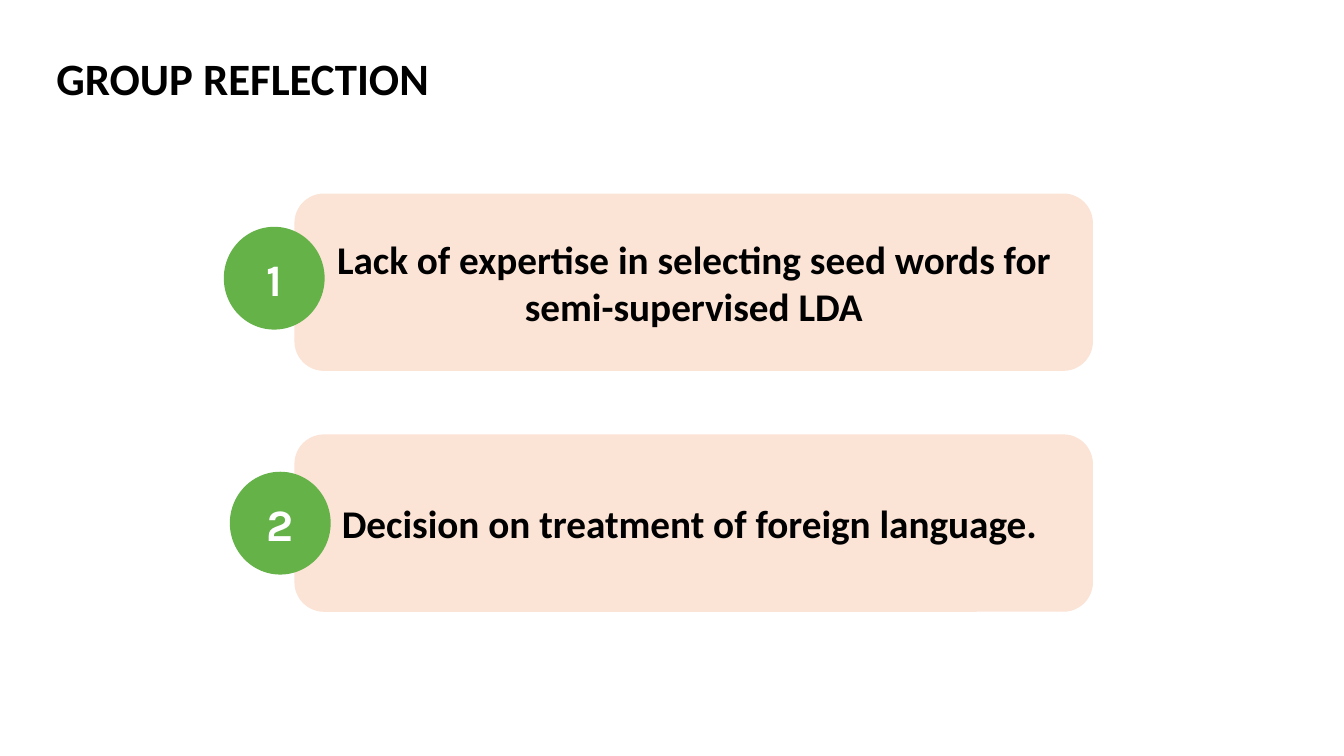
from pptx import Presentation
from pptx.dml.color import RGBColor
from pptx.enum.shapes import MSO_SHAPE
from pptx.enum.text import MSO_ANCHOR, PP_ALIGN
from pptx.util import Inches, Pt

COLORS = {"card": "FBE3D6", "badge": "64B248", "ink": "000000", "white": "FFFFFF"}


def write(shape, text, size=28, font="Calibri", color="ink",
          align=PP_ALIGN.CENTER, spacing=None):
    frame = shape.text_frame
    frame.word_wrap = True
    frame.vertical_anchor = MSO_ANCHOR.MIDDLE
    para = frame.paragraphs[0]
    para.alignment = align
    if spacing:
        para.line_spacing = spacing
    run = para.add_run()
    run.text = text
    run.font.name = font
    run.font.size = Pt(size)
    run.font.bold = True
    run.font.color.rgb = RGBColor.from_string(COLORS[color])


class Deck:
    def __init__(self):
        self.prs = Presentation()
        self.prs.slide_width = Inches(13.33)
        self.prs.slide_height = Inches(7.5)
        self.slide = self.prs.slides.add_slide(self.prs.slide_layouts[6])

    def title(self, text, x, y, w, h):
        box = self.slide.shapes.add_textbox(Inches(x), Inches(y), Inches(w), Inches(h))
        write(box, text, size=32, align=PP_ALIGN.LEFT, spacing=0.9)

    def shape(self, kind, fill, x, y, w, h):
        item = self.slide.shapes.add_shape(
            kind, Inches(x), Inches(y), Inches(w), Inches(h))
        item.shadow.inherit = False
        item.fill.solid()
        item.fill.fore_color.rgb = RGBColor.from_string(COLORS[fill])
        item.line.fill.background()
        return item

    def card(self, text, y):
        item = self.shape(MSO_SHAPE.ROUNDED_RECTANGLE, "card", 2.92, y, 7.92, 1.76)
        write(item, text)

    def badge(self, label, x, y):
        item = self.shape(MSO_SHAPE.OVAL, "badge", x, y, 1, 1.02)
        write(item, label, size=32, font="Karla", color="white")


def main():
    deck = Deck()

    # Heading
    deck.title("GROUP REFLECTION", 0.46, 0.08, 8.62, 1.45)

    # Numbered points: text, card top, badge left and top
    points = [
        ("Lack of expertise in selecting seed words for semi-supervised LDA",
         1.92, 2.22, 2.25),
        ("Decision on treatment of foreign language. ", 4.31, 2.28, 4.68),
    ]
    for num, (text, top, left, mid) in enumerate(points, 1):
        deck.card(text, top)
        deck.badge(str(num), left, mid)

    deck.prs.save("out.pptx")


if __name__ == "__main__":
    main()
